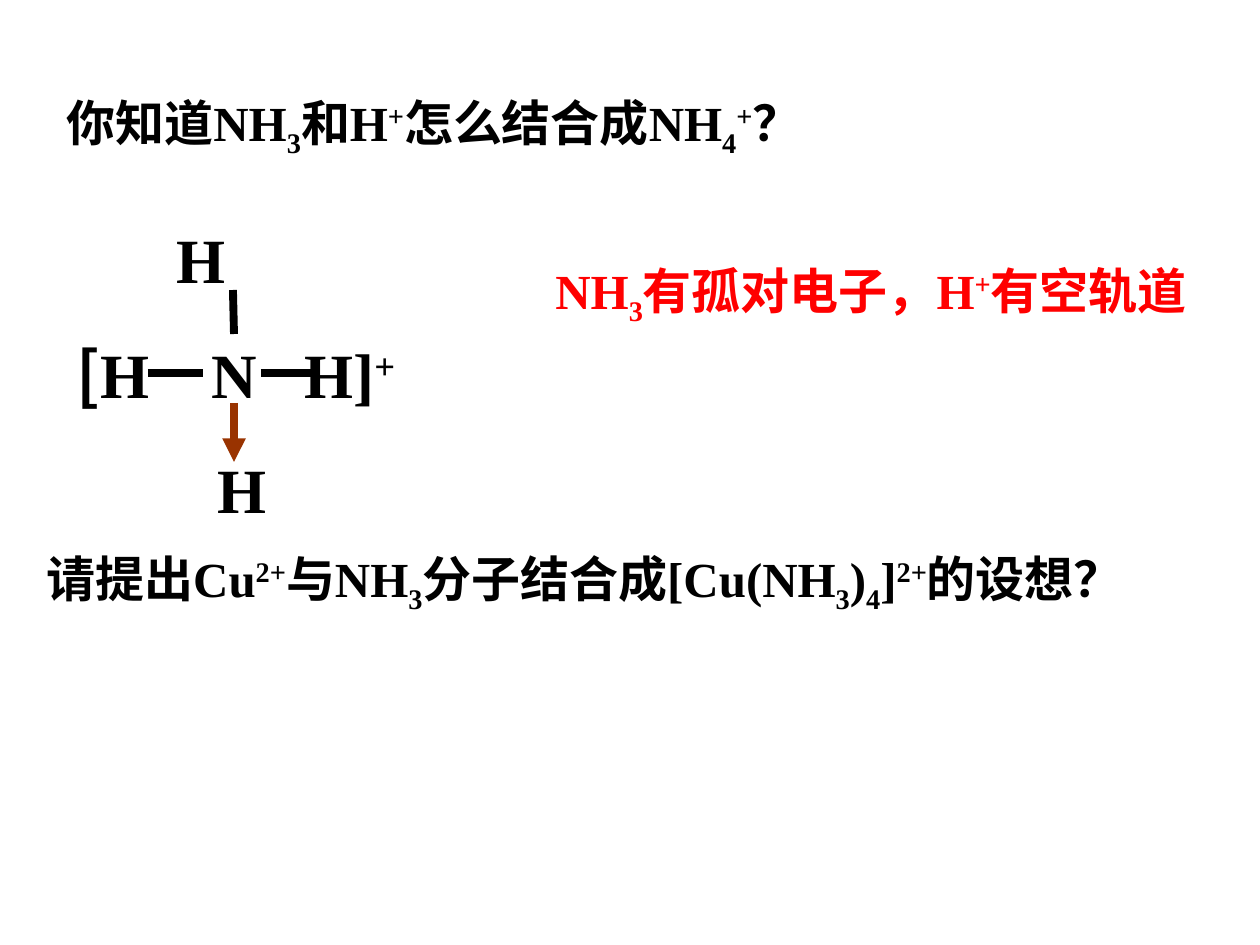
from lxml.etree import SubElement
from pptx import Presentation
from pptx.dml.color import RGBColor
from pptx.enum.shapes import MSO_CONNECTOR
from pptx.enum.text import MSO_ANCHOR, MSO_AUTO_SIZE, PP_ALIGN
from pptx.oxml.ns import qn
from pptx.util import Emu, Pt

BASELINES = {"^": "30000", "_": "-25000"}


def px(length):
    return Emu(length * 914400 // 126)


def color(value):
    return RGBColor.from_string(value)


class ChemistrySlide:
    latin_font = "Times New Roman"
    asian_font = "Noto Sans CJK SC"
    black, red, brown = "000000", "FF0000", "993300"

    def __init__(self, presentation):
        self.slide = presentation.slides.add_slide(presentation.slide_layouts[5])

    def prepare(self, shape, left, top, width, height):
        shape.left, shape.top = px(left), px(top)
        shape.width, shape.height = px(width), px(height)
        frame = shape.text_frame
        frame.word_wrap = True
        frame.auto_size = MSO_AUTO_SIZE.NONE
        frame.vertical_anchor = MSO_ANCHOR.TOP
        return frame

    def add_runs(self, paragraph, markup, size, ink):
        """Pieces are split by |; ^ starts a superscript and _ a subscript."""
        font = paragraph.font
        font.name, font.size, font.bold = self.latin_font, Pt(size), True
        font.color.rgb = color(ink)
        properties = paragraph._p.pPr.find(qn("a:defRPr"))
        SubElement(properties, qn("a:ea")).set("typeface", self.asian_font)
        for piece in markup.split("|"):
            run = paragraph.add_run()
            run.text = piece.lstrip("^_")
            if piece[0] in BASELINES:
                run.font._element.set("baseline", BASELINES[piece[0]])
            if piece == "[":
                run.font.name = self.asian_font

    def sentence(self, shape, box, markup, ink):
        paragraph = self.prepare(shape, *box).paragraphs[0]
        paragraph.alignment = PP_ALIGN.JUSTIFY
        self.add_runs(paragraph, markup, 28, ink)

    def title(self, box, markup):
        self.sentence(self.slide.shapes.title, box, markup, self.black)

    def text(self, box, markup, ink):
        self.sentence(self.slide.shapes.add_textbox(0, 0, 0, 0), box, markup, ink)

    def formula(self, box, rows):
        """Each row is its markup, left indent and tab stops."""
        frame = self.prepare(self.slide.shapes.add_textbox(0, 0, 0, 0), *box)
        for index, (markup, indent, stops) in enumerate(rows):
            paragraph = frame.add_paragraph() if index else frame.paragraphs[0]
            if index:
                paragraph.space_before = Pt(22.5)
            properties = paragraph._p.get_or_add_pPr()
            properties.set("marL", str(px(indent)))
            if stops:
                tabs = SubElement(properties, qn("a:tabLst"))
                for stop in stops:
                    SubElement(tabs, qn("a:tab"), pos=str(px(stop)), algn="l")
            self.add_runs(paragraph, markup, 36, self.black)

    def bond(self, start, end, ink, arrow=False):
        connector = self.slide.shapes.add_connector(
            MSO_CONNECTOR.STRAIGHT, *map(px, start + end))
        connector.line.color.rgb = color(ink)
        connector.line.width = Pt(4.5)
        if arrow:
            SubElement(connector.line._get_or_add_ln(), qn("a:tailEnd"), type="triangle")
        SubElement(connector._element.spPr, qn("a:effectLst"))


def main():
    presentation = Presentation()
    presentation.slide_width, presentation.slide_height = px(1260), px(945)
    page = ChemistrySlide(presentation)

    # Ammonium ion: atoms, then covalent bonds and the coordinate bond
    page.formula((64, 214, 447, 319), [
        ("H", 100, ()),
        ("[|H\tN\tH]|^+", 0, (135, 228)),
        ("H", 141, ()),
    ])
    for start, end in (((148, 373), (203, 373)),
                       ((261, 373), (315, 373)),
                       ((233, 290), (234, 334))):
        page.bond(start, end, page.black)
    page.bond((234, 403), (234, 462), page.brown, arrow=True)

    # Questions and the answer
    page.title((54, 86, 1160, 79), "你知道NH|_3|和H|^+|怎么结合成NH|_4|^+|？")
    page.text((34, 542, 1226, 79),
              "请提出Cu|^2+|与NH|_3|分子结合成[Cu(NH|_3|)|_4|]|^2+|的设想？", page.black)
    page.text((543, 254, 656, 79), "NH|_3|有孤对电子，H|^+|有空轨道", page.red)

    presentation.save("out.pptx")


if __name__ == "__main__":
    main()
